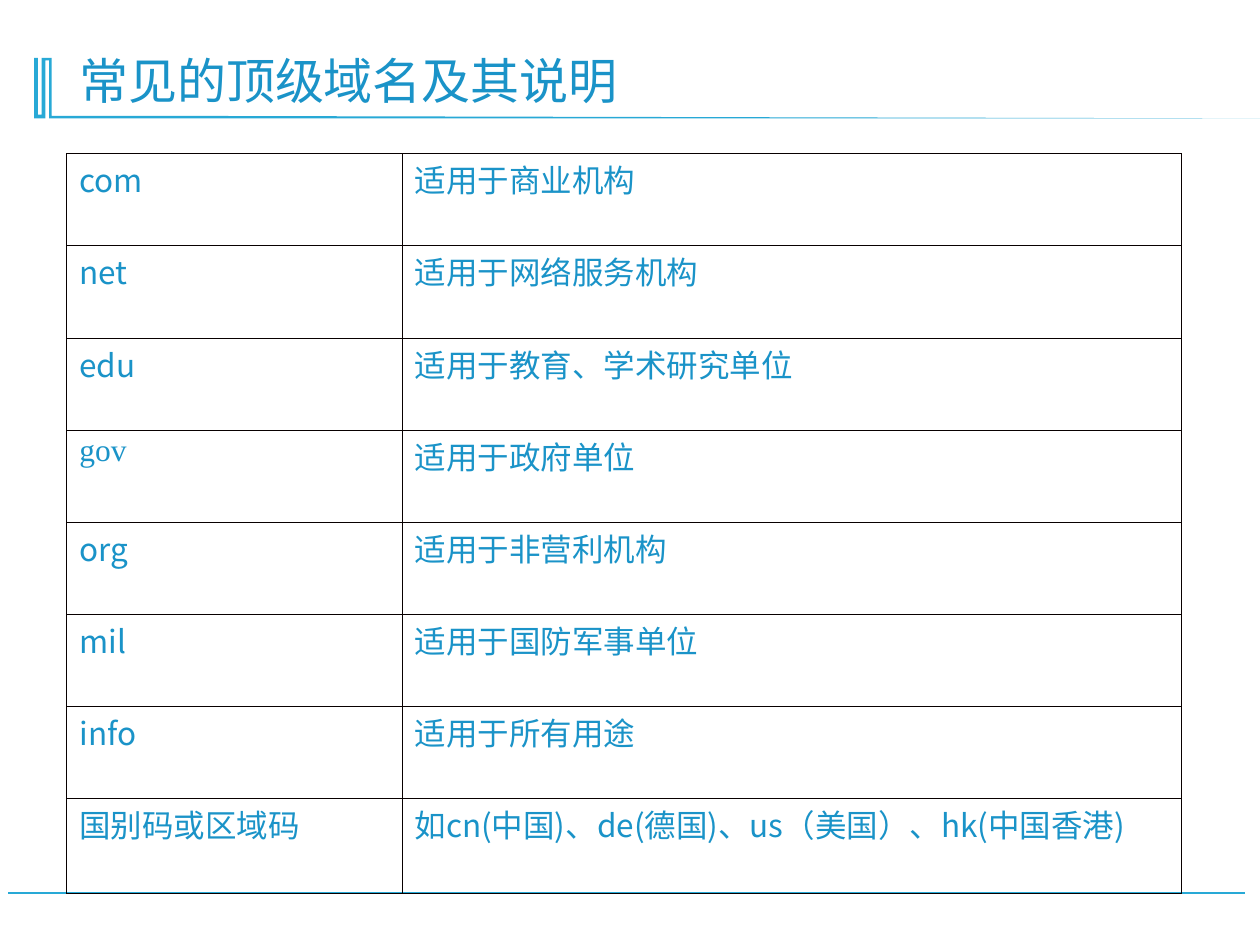
from lxml.etree import SubElement
from pptx import Presentation
from pptx.dml.color import RGBColor as Rgb
from pptx.enum.text import MSO_ANCHOR as Anchor, MSO_AUTO_SIZE as AutoSize, PP_ALIGN as Align
from pptx.oxml import parse_xml
from pptx.oxml.ns import nsdecls, qn
from pptx.util import Inches, Pt

COLORS = {"accent": "28A9D6", "text": "1A93C8", "border": "080000"}
SANS, SERIF = "Noto Sans CJK SC", "Times New Roman"
COLUMNS, ROWS = 100, 75
DOMAINS = [
    ("com", "适用于商业机构"),
    ("net", "适用于网络服务机构"),
    ("edu", "适用于教育、学术研究单位"),
    ("gov", "适用于政府单位"),
    ("org", "适用于非营利机构"),
    ("mil", "适用于国防军事单位"),
    ("info", "适用于所有用途"),
    ("国别码或区域码", "如cn(中国)、de(德国)、us（美国）、hk(中国香港)"),
]
TITLE_MARK = [
    (4.1, 4.6), (4.1, 9.2), (14, 9.2), (100.9, 9.4), (3.9, 9.4), (3.9, 4.8), (3.6, 4.8),
    (3.6, 9.4), (2.7, 9.4), (2.7, 4.6), (3, 4.6), (3, 9.1), (3.3, 9.1), (3.3, 4.6),
]


def write(frame, text, *, size, font=SANS, before=0):
    para = frame.paragraphs[0]
    para.alignment = Align.LEFT
    para.line_spacing = 0.9
    para.space_before = Pt(before)
    span = para.add_run()
    span.text = text
    span.font.size = Pt(size)
    span.font.bold = False
    span.font.color.rgb = Rgb.from_string(COLORS["text"])
    span.font.name = font
    SubElement(span.font._element, qn("a:ea")).set("typeface", SANS)


class Page:
    """Draws styled elements on one slide, measured in grid cells."""

    def __init__(self, deck):
        self.cell = deck.slide_width // COLUMNS
        self.slide = deck.slides.add_slide(deck.slide_layouts[5])
        self.shapes = self.slide.shapes

    def lengths(self, *cells):
        return [round(count * self.cell) for count in cells]

    def rule(self, start, end, width):
        line = self.shapes.add_connector(1, *self.lengths(*start, *end))
        line.line.color.rgb = Rgb.from_string(COLORS["accent"])
        line.line.width = Pt(width)
        SubElement(line._element.spPr, qn("a:effectLst"))

    def outline(self, points):
        first, *rest = [self.lengths(*point) for point in points]
        builder = self.shapes.build_freeform(*first)
        builder.add_line_segments(rest, close=True)
        mark = builder.convert_to_shape()
        mark.shadow.inherit = False
        mark.fill.solid()
        mark.fill.fore_color.rgb = Rgb.from_string(COLORS["accent"])
        mark.line.fill.background()

    def title(self, text, place):
        box = self.shapes.title
        box.left, box.top, box.width, box.height = self.lengths(*place)
        frame = box.text_frame
        frame.word_wrap = True
        frame.auto_size = AutoSize.NONE
        frame.vertical_anchor = Anchor.BOTTOM
        write(frame, text, size=28, font=SERIF)

    def border(self, cell):
        properties = cell._tc.get_or_add_tcPr()
        for index, side in enumerate("LRTB"):
            properties.insert(index, parse_xml(
                f'<a:ln{side} {nsdecls("a")} w="{Pt(0.5)}"><a:solidFill>'
                f'<a:srgbClr val="{COLORS["border"]}"/></a:solidFill></a:ln{side}>'))

    def table(self, records, place, widths):
        frame = self.shapes.add_table(len(records), len(widths), *self.lengths(*place))
        table = frame.table
        table.first_row = table.horz_banding = False
        for column, width in zip(table.columns, self.lengths(*widths)):
            column.width = width
        for row, record in enumerate(records):
            for column, text in enumerate(record):
                cell = table.cell(row, column)
                cell.fill.background()
                self.border(cell)
                font = SERIF if text == "gov" else SANS
                write(cell.text_frame, text, size=18, font=font, before=13.5)


def main():
    deck = Presentation()
    deck.slide_width, deck.slide_height = Inches(10), Inches(7.5)
    page = Page(deck)
    page.rule((98.8, 70.9), (0.6, 70.9), 1.25)
    page.outline(TITLE_MARK)
    page.title("常见的顶级域名及其说明", (5.3, 2.8, 88.5, 6.4))
    page.table(DOMAINS, (5.3, 12.2, 88.5, 58.5), (26.6, 61.9))
    deck.save("out.pptx")


if __name__ == "__main__":
    main()
